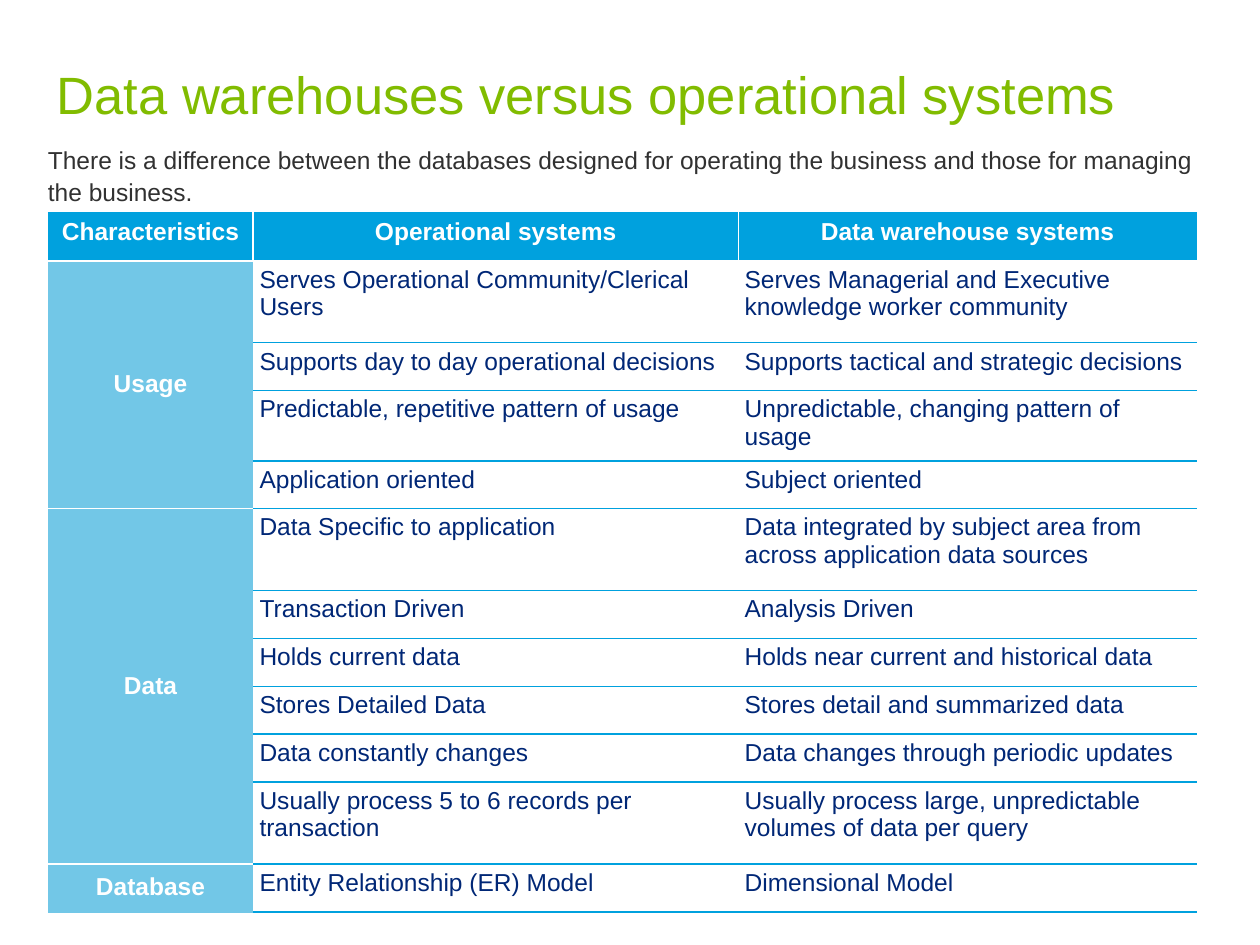
from lxml import etree
from pptx import Presentation
from pptx.dml.color import RGBColor
from pptx.enum import text
from pptx.oxml import ns
from pptx.util import Inches, Pt

TITLE = "Data warehouses versus operational systems"
INTRO = ("There is a difference between the databases designed for operating "
         "the business and those for managing the business.")
HEADERS = ["Characteristics", "Operational systems", "Data warehouse systems"]
GROUPS = [
    ("Usage", [
        ("Serves Operational Community/Clerical Users",
         "Serves Managerial and Executive knowledge worker community"),
        ("Supports day to day operational decisions",
         "Supports tactical and strategic decisions"),
        ("Predictable, repetitive pattern of usage",
         "Unpredictable, changing pattern of usage"),
        ("Application oriented", "Subject oriented"),
    ]),
    ("Data", [
        ("Data Specific to application",
         "Data integrated by subject area from across application data sources"),
        ("Transaction Driven", "Analysis Driven"),
        ("Holds current data", "Holds near current and historical data"),
        ("Stores Detailed Data", "Stores detail and summarized data"),
        ("Data constantly changes", "Data changes through periodic updates"),
        ("Usually process 5 to 6 records per transaction",
         "Usually process large, unpredictable volumes of data per query"),
    ]),
    ("Database", [("Entity Relationship (ER) Model", "Dimensional Model")]),
]
COLUMN_WIDTHS = [1.63, 3.85, 3.64]
ROW_HEIGHT, TALL_HEIGHT = 0.38, 0.65
TALL_ROWS = {1, 5, 10}
LEFT, WIDTH = 0.38, 9.11
WHITE, BLUE, SKY, NAVY = "FFFFFF", "00A1DE", "72C7E7", "002776"
GREEN, CHARCOAL = "81BC00", "313131"
NO_STYLE = "{2D5ABB26-0587-4C30-8999-92F81FD0307C}"


def color(value):
    """Turn a hex string into a colour."""
    return RGBColor.from_string(value)


def write(frame, content, size, ink, bold=False, centered=False):
    """Put one formatted paragraph into a text frame."""
    paragraph = frame.paragraphs[0]
    paragraph.text = content
    font = paragraph.font
    font.name, font.size, font.bold = "Arial", Pt(size), bold
    font.color.rgb = color(ink)
    paragraph.alignment = text.PP_ALIGN.CENTER if centered else text.PP_ALIGN.LEFT
    return paragraph


def add_text(slide, left, top, height, content, size, ink):
    """Add a text box without margins."""
    frame = slide.shapes.add_textbox(
        Inches(left), Inches(top), Inches(WIDTH), Inches(height)).text_frame
    frame.word_wrap = True
    frame.margin_left = frame.margin_right = frame.margin_top = frame.margin_bottom = 0
    return write(frame, content, size, ink)


def paint(cell, fill, borders):
    """Set the borders, given by side in L, R, T, B order, and the fill."""
    properties = cell._tc.get_or_add_tcPr()
    for side, value in borders.items():
        line = etree.SubElement(properties, ns.qn("a:ln" + side), w=str(Pt(1)))
        solid = etree.SubElement(line, ns.qn("a:solidFill"))
        etree.SubElement(solid, ns.qn("a:srgbClr"), val=value)
    cell.fill.solid()
    cell.fill.fore_color.rgb = color(fill)


def fill_cell(cell, content, ink=WHITE, heading=True):
    """Write a cell; headings are bold and centred."""
    cell.margin_left = cell.margin_right = cell.margin_bottom = Inches(0.05)
    cell.margin_top = Inches(0.04)
    write(cell.text_frame, content, 14, ink, heading, heading)


def add_comparison(slide):
    """Add the table with a merged first column for each group."""
    row_count = 1 + sum(len(pairs) for _, pairs in GROUPS)
    heights = [TALL_HEIGHT if row in TALL_ROWS else ROW_HEIGHT
               for row in range(row_count)]
    table = slide.shapes.add_table(
        row_count, len(HEADERS), Inches(LEFT), Inches(1.69),
        Inches(WIDTH), Inches(sum(heights))).table
    table.horz_banding = False
    table._tbl.tblPr.find(ns.qn("a:tableStyleId")).text = NO_STYLE
    for column, width in zip(table.columns, COLUMN_WIDTHS):
        column.width = Inches(width)
    for row, height in zip(table.rows, heights):
        row.height = Inches(height)

    last = len(HEADERS) - 1
    for index, header in enumerate(HEADERS):
        cell = table.cell(0, index)
        fill_cell(cell, header)
        borders = {"L": WHITE} if index else {}
        if index < last:
            borders["R"] = WHITE
        paint(cell, BLUE, {**borders, "T": BLUE, "B": WHITE})

    row = 1
    for group, pairs in GROUPS:
        end = row + len(pairs) - 1
        label = table.cell(row, 0)
        if end > row:
            label.merge(table.cell(end, 0))
        fill_cell(label, group)
        label.vertical_anchor = text.MSO_ANCHOR.MIDDLE
        bottom = SKY if end == row_count - 1 else WHITE
        paint(label, SKY, {"T": WHITE, "B": bottom})
        for row, pair in enumerate(pairs, row):
            for index, content in enumerate(pair, 1):
                cell = table.cell(row, index)
                fill_cell(cell, content, NAVY, heading=False)
                paint(cell, WHITE, {"T": WHITE if row == 1 else BLUE, "B": BLUE})
        row = end + 1


deck = Presentation()
deck.slide_width, deck.slide_height = Inches(10), Inches(7.5)
slide = deck.slides.add_slide(deck.slide_layouts[6])
intro = add_text(slide, LEFT, 1.14, 0.5, INTRO, 14, CHARCOAL)
intro.line_spacing = 1.06
add_text(slide, 0.45, 0.49, 0.48, TITLE, 30, GREEN)
add_comparison(slide)
deck.save("out.pptx")
